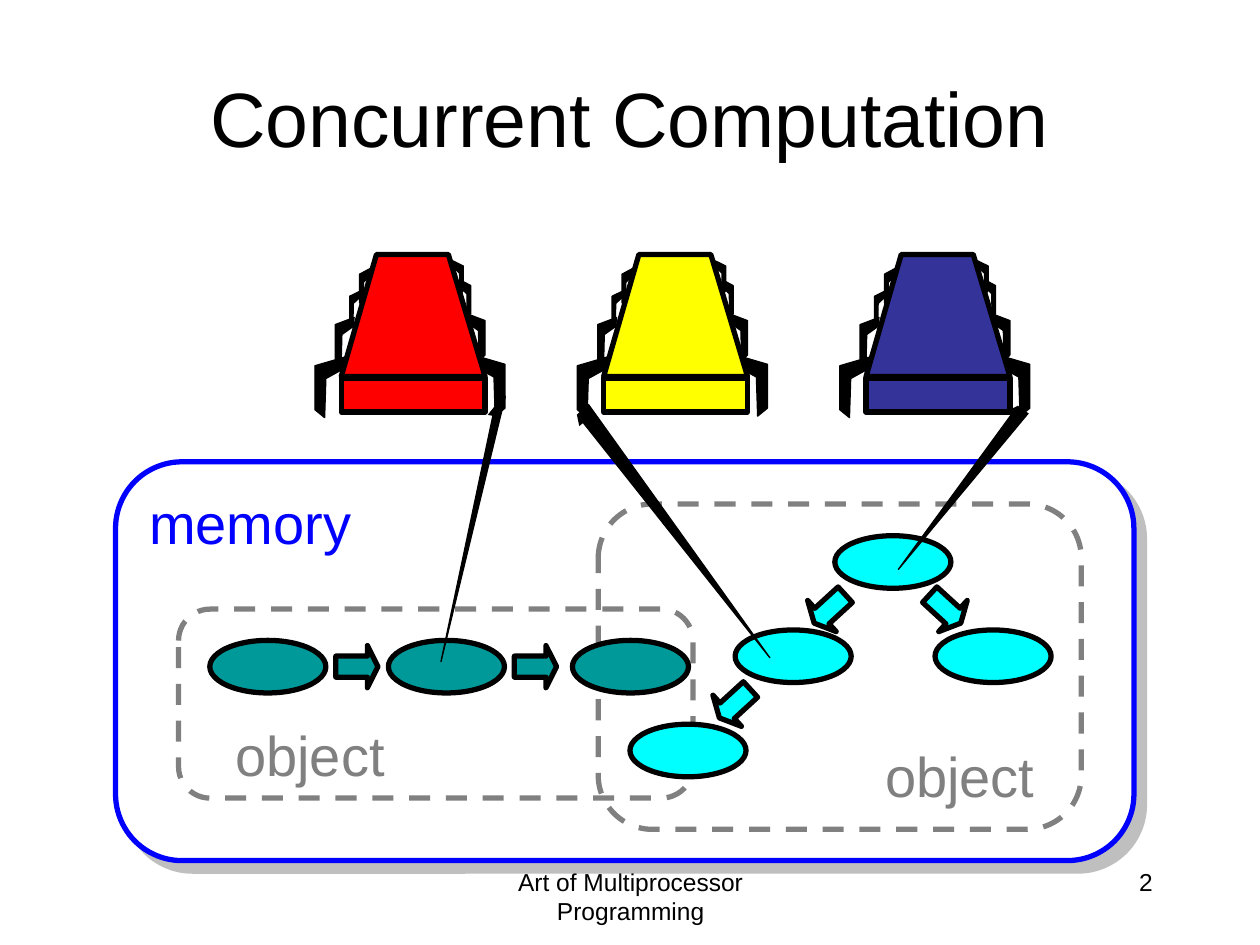
import pptx
import pptx.dml.color
import pptx.enum.dml
import pptx.enum.shapes
import pptx.enum.text
import pptx.oxml
import pptx.oxml.ns
import pptx.util

Cm = pptx.util.Cm
Pt = pptx.util.Pt
MSO = pptx.enum.shapes.MSO_SHAPE
ALIGN = pptx.enum.text.PP_ALIGN

BLACK, GRAY, BLUE = "000000", "808080", "0000FF"
TEAL, CYAN = "009999", "00FFFF"

NODE_W, NODE_H, ARROW = 2.34, 1.06, 0.85
THREAD_LEFT, THREAD_TOP, THREAD_PITCH = 6.35, 5.13, 5.29
THREAD_COLORS = ["FF0000", "FFFF00", "333399"]

# One leg as fractions of its width and height, starting at the body.
LEG = [(0, 0), (1, 0.15), (1, 0.87), (0.69, 1), (0.65, 0.36), (0.05, 0.19)]
# x, y, width, height inside a thread; a negative width points left.
LEGS = [
    (3.2, 2.03, 0.63, 1.23), (3.05, 1.19, 0.38, 0.96),
    (2.92, 0.51, 0.22, 0.79), (2.78, 0.13, 0.21, 0.69),
    (0.63, 2.06, -0.63, 1.23), (0.79, 1.27, -0.38, 0.96),
    (1.12, 0.28, -0.22, 0.79), (0.91, 0.74, -0.21, 0.69),
]
BODY = [(0.53, 2.46), (1.24, 0), (2.69, 0), (3.43, 2.46)]

LIST_Y = 12.91
LIST_XS = [4.23, 7.83, 11.54]
LIST_ARROW_XS = [6.77, 10.37]
TREE_NODES = [(16.83, 10.8), (14.82, 12.7), (18.85, 12.7), (12.7, 14.6)]
TREE_ARROWS = [(18.63, 11.85, 42.5), (16.3, 11.85, 137.5), (14.39, 13.76, 137.5)]

POINTERS = [
    [(10.19, 7.98), (8.89, 13.34), (9.98, 8.18)],
    [(11.86, 8.15), (15.52, 13.26), (11.63, 8.36)],
    [(20.73, 8.33), (18.11, 11.48), (20.52, 8.18)],
]


def rgb(color):
    return pptx.dml.color.RGBColor.from_string(color)


def style(sp, fill=None, line=BLACK, width=3):
    sp.shadow.inherit = False
    if fill:
        sp.fill.solid()
        sp.fill.fore_color.rgb = rgb(fill)
    else:
        sp.fill.background()
    sp.line.color.rgb = rgb(line)
    sp.line.width = Pt(width)
    return sp


def add_preset(s, kind, x, y, w, h, **look):
    sp = s.shapes.add_shape(kind, Cm(x), Cm(y), Cm(w), Cm(h))
    return style(sp, **look)


def add_outline(s, points, close=True, **look):
    (x, y), *rest = [(Cm(px), Cm(py)) for px, py in points]
    builder = s.shapes.build_freeform(x, y)
    builder.add_line_segments(rest, close=close)
    return style(builder.convert_to_shape(), **look)


def add_text(s, text, x, y, w, h, size=14, color=BLACK, align=ALIGN.CENTER,
             anchor=pptx.enum.text.MSO_ANCHOR.TOP, wrap=True):
    tf = s.shapes.add_textbox(Cm(x), Cm(y), Cm(w), Cm(h)).text_frame
    tf.word_wrap = wrap
    if not wrap:
        tf.auto_size = pptx.enum.text.MSO_AUTO_SIZE.SHAPE_TO_FIT_TEXT
    tf.vertical_anchor = anchor
    p = tf.paragraphs[0]
    p.alignment = align
    r = p.add_run()
    r.text = text
    r.font.name = "Arial"
    r.font.size = Pt(size)
    r.font.color.rgb = rgb(color)


def add_label(s, text, x, y, w, color):
    add_text(s, text, x, y, w, 1.62, size=32, color=color,
             align=ALIGN.RIGHT, wrap=False)


def add_memory(s):
    """Rounded box with a hard shadow to the lower right."""
    sp = add_preset(s, MSO.ROUNDED_RECTANGLE, 2.33, 9.31, 20.53, 8.04,
                    fill="FFFFFF", line=BLUE)
    effects = sp._element.spPr.find(pptx.oxml.ns.qn("a:effectLst"))
    effects.append(pptx.oxml.parse_xml(
        f'<a:outerShdw {pptx.oxml.ns.nsdecls("a")} blurRad="0" '
        f'dist="{Pt(8.5)}" dir="2700000" algn="ctr" rotWithShape="0">'
        f'<a:srgbClr val="{GRAY}"><a:alpha val="50000"/></a:srgbClr>'
        '</a:outerShdw>'))
    add_label(s, "memory", 2.74, 9.73, 4.6, BLUE)


def add_object(s, x, y, w, h, label_x, label_y):
    sp = add_preset(s, MSO.ROUNDED_RECTANGLE, x, y, w, h, line=GRAY)
    sp.line.dash_style = pptx.enum.dml.MSO_LINE.DASH
    add_label(s, "object", label_x, label_y, 3.56, GRAY)


def add_node(s, x, y, color):
    add_preset(s, MSO.OVAL, x, y, NODE_W, NODE_H, fill=color)


def add_arrow(s, x, y, color, rotation=0):
    sp = add_preset(s, MSO.RIGHT_ARROW, x, y, ARROW, ARROW, fill=color)
    sp.adjustments[0] = 0.5
    sp.adjustments[1] = 0.25
    sp.rotation = rotation


def add_thread(s, x, y, color):
    for leg_x, leg_y, w, h in LEGS:
        points = [(x + leg_x + w * u, y + leg_y + h * v) for u, v in LEG]
        add_outline(s, points, fill=BLACK, width=0.75)
    add_outline(s, [(x + u, y + v) for u, v in BODY], fill=color)
    add_preset(s, MSO.RECTANGLE, x + 0.53, y + 2.49, 2.9, 0.69, fill=color)


def add_pointer(s, points):
    sp = add_outline(s, points, close=False, fill=BLACK, width=0.75)
    sp.line._get_or_add_ln().append(pptx.oxml.parse_xml(
        f'<a:tailEnd {pptx.oxml.ns.nsdecls("a")} type="triangle"/>'))


def main():
    prs = pptx.Presentation()
    prs.slide_width, prs.slide_height = Cm(25.4), Cm(19.05)
    s = prs.slides.add_slide(prs.slide_layouts[6])

    add_text(s, "Art of Multiprocessor Programming", 8.69, 17.35, 8.05, 1.27)
    add_text(s, "2", 18.21, 17.35, 5.28, 1.27, align=ALIGN.RIGHT)
    add_memory(s)
    add_text(s, "Concurrent Computation", 1.27, 0.76, 22.86, 3.18, size=44,
             anchor=pptx.enum.text.MSO_ANCHOR.MIDDLE)

    add_object(s, 3.6, 12.28, 10.37, 3.81, 4.45, 14.4)
    add_object(s, 12.06, 10.16, 9.74, 6.56, 17.55, 14.82)

    for x in LIST_XS:
        add_node(s, x, LIST_Y, TEAL)
    for x in LIST_ARROW_XS:
        add_arrow(s, x, LIST_Y + (NODE_H - ARROW) / 2, TEAL)
    for x, y in TREE_NODES:
        add_node(s, x, y, CYAN)
    for x, y, rotation in TREE_ARROWS:
        add_arrow(s, x, y, CYAN, rotation)

    for i, color in enumerate(THREAD_COLORS):
        add_thread(s, THREAD_LEFT + i * THREAD_PITCH, THREAD_TOP, color)
    for points in POINTERS:
        add_pointer(s, points)

    prs.save("out.pptx")


if __name__ == "__main__":
    main()
